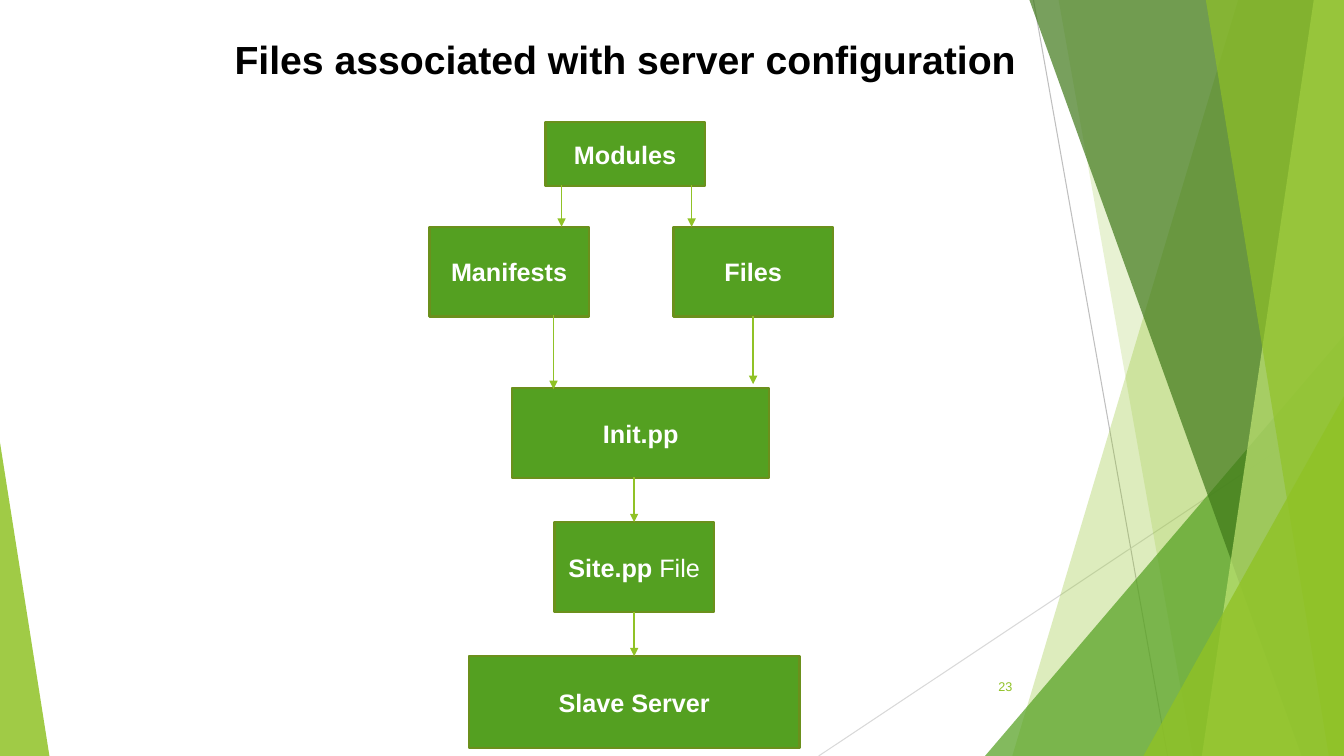
from dataclasses import dataclass

from lxml.etree import SubElement
from pptx import Presentation
from pptx.dml.color import RGBColor
from pptx.enum.shapes import MSO_CONNECTOR, MSO_SHAPE
from pptx.enum.text import MSO_ANCHOR, PP_ALIGN
from pptx.oxml.ns import qn
from pptx.util import Inches, Pt


@dataclass(frozen=True)
class Theme:
    lime: str = "90C226"
    pale_lime: str = "C0E474"
    green: str = "54A021"
    dark_green: str = "3F7819"
    box_edge: str = "6B901C"
    white: str = "FFFFFF"
    black: str = "000000"
    font: str = "Arial"
    title_size: int = 28
    box_size: int = 18
    number_size: int = 9


theme = Theme()


def write_line(frame, runs, size, color, align, anchor):
    """Fill a text frame with one paragraph of (text, bold) runs."""
    for name, value in {"word_wrap": True, "vertical_anchor": anchor}.items():
        setattr(frame, name, value)
    paragraph = frame.paragraphs[0]
    paragraph.alignment = align
    for text, bold in runs:
        run = paragraph.add_run()
        run.text = text
        font_format = {"name": theme.font, "size": Pt(size), "bold": bold}
        for name, value in font_format.items():
            setattr(run.font, name, value)
        run.font.color.rgb = RGBColor.from_string(color)


def draw_line(start, end, color, width):
    """Add a straight connector without a shadow."""
    line = slide.shapes.add_connector(
        MSO_CONNECTOR.STRAIGHT, *(Inches(v) for v in (*start, *end)))
    line.line.color.rgb = RGBColor.from_string(color)
    line.line.width = Pt(width)
    SubElement(line._element.spPr, qn("a:effectLst"))
    return line


presentation = Presentation()
presentation.slide_width = Inches(13.33)
presentation.slide_height = Inches(7.5)
slide = presentation.slides.add_slide(presentation.slide_layouts[5])

# Backdrop: thin rays
draw_line((10.25, 0), (11.58, 7.5), "BFBFBF", 0.75)
draw_line((13.33, 4.03), (8.12, 7.5), "D9D9D9", 0.75)

# Backdrop: full-height facets (top left x, bottom left x) and
# corner triangles (left, top, width, apex), each with colour and opacity
facets = [
    ("facet", (12.28, 10.04), theme.lime, 30),
    ("facet", (10.5, 11.83), theme.lime, 20),
    ("triangle", (9.77, 3.33, 3.56, 1), theme.green, 72),
    ("facet", (10.21, 12.91), theme.dark_green, 70),
    ("facet", (13.03, 11.92), theme.pale_lime, 70),
    ("facet", (11.96, 13.18), theme.lime, 65),
    ("triangle", (11.34, 3.93, 1.99, 1), theme.lime, 80),
    ("triangle", (0, 4.39, 0.49, 0), theme.lime, 85),
]
for kind, geometry, color, opacity in facets:
    if kind == "facet":
        top_x, bottom_x = geometry
        corners = [(Inches(x), Inches(y)) for x, y in (
            (top_x, 0), (13.33, 0), (13.33, 7.5), (bottom_x, 7.5))]
        outline = slide.shapes.build_freeform(*corners[0])
        outline.add_line_segments(corners[1:], close=True)
        facet = outline.convert_to_shape()
    else:
        left, top, width, apex = geometry
        facet = slide.shapes.add_shape(
            MSO_SHAPE.ISOSCELES_TRIANGLE, Inches(left), Inches(top),
            Inches(width), Inches(7.5 - top))
        facet.adjustments[0] = apex
    facet.shadow.inherit = False
    facet.line.fill.background()
    facet.fill.solid()
    facet.fill.fore_color.rgb = RGBColor.from_string(color)
    tint = facet._element.spPr.find(".//" + qn("a:srgbClr"))
    SubElement(tint, qn("a:alpha"), val=str(opacity * 1000))

# Flowchart boxes
box_rows = {
    "slave": ((4.65, 6.51, 3.28, 0.91), [("Slave Server", True)]),
    "init": ((5.08, 3.85, 2.55, 0.89), [("Init.pp", True)]),
    "site": ((5.5, 5.18, 1.58, 0.89), [("Site.pp", True), (" File", False)]),
    "files": ((6.68, 2.25, 1.58, 0.89), [("Files", True)]),
    "manifests": ((4.26, 2.25, 1.58, 0.89), [("Manifests", True)]),
    "modules": ((5.41, 1.21, 1.58, 0.64), [("Modules", True)]),
}
boxes = {}
for key, (place, runs) in box_rows.items():
    box = slide.shapes.add_shape(
        MSO_SHAPE.RECTANGLE, *(Inches(v) for v in place))
    box.shadow.inherit = False
    box.fill.solid()
    box.fill.fore_color.rgb = RGBColor.from_string(theme.green)
    box.line.color.rgb = RGBColor.from_string(theme.box_edge)
    box.line.width = Pt(1.5)
    write_line(box.text_frame, runs, theme.box_size, theme.white,
               PP_ALIGN.CENTER, MSO_ANCHOR.MIDDLE)
    boxes[key] = box

# Downward arrows: x, from y, to y, box joined at the start and at the end
arrows = [
    (5.57, 1.84, 2.25, None, None),
    (6.86, 1.84, 2.25, None, None),
    (5.49, 3.13, 3.86, None, None),
    (7.47, 3.14, 3.81, "files", None),
    (6.29, 4.73, 5.18, None, "site"),
    (6.29, 6.07, 6.51, "site", "slave"),
]
for x, from_y, to_y, source, target in arrows:
    arrow = draw_line((x, from_y), (x, to_y), theme.lime, 1)
    SubElement(arrow.line._get_or_add_ln(), qn("a:tailEnd"), type="triangle")
    if source:
        arrow.begin_connect(boxes[source], 2)
    if target:
        arrow.end_connect(boxes[target], 0)

# Title
title = slide.shapes.title
title_place = {"left": 1.03, "top": 0.3, "width": 10.34, "height": 0.57}
for name, value in title_place.items():
    setattr(title, name, Inches(value))
write_line(title.text_frame, [("Files associated with server configuration", True)],
           theme.title_size, theme.black, PP_ALIGN.CENTER, MSO_ANCHOR.TOP)

# Slide number
number = slide.shapes.add_textbox(
    Inches(9.39), Inches(6.61), Inches(0.75), Inches(0.4))
write_line(number.text_frame, [("23", False)], theme.number_size, theme.lime,
           PP_ALIGN.RIGHT, MSO_ANCHOR.MIDDLE)

presentation.save("out.pptx")
